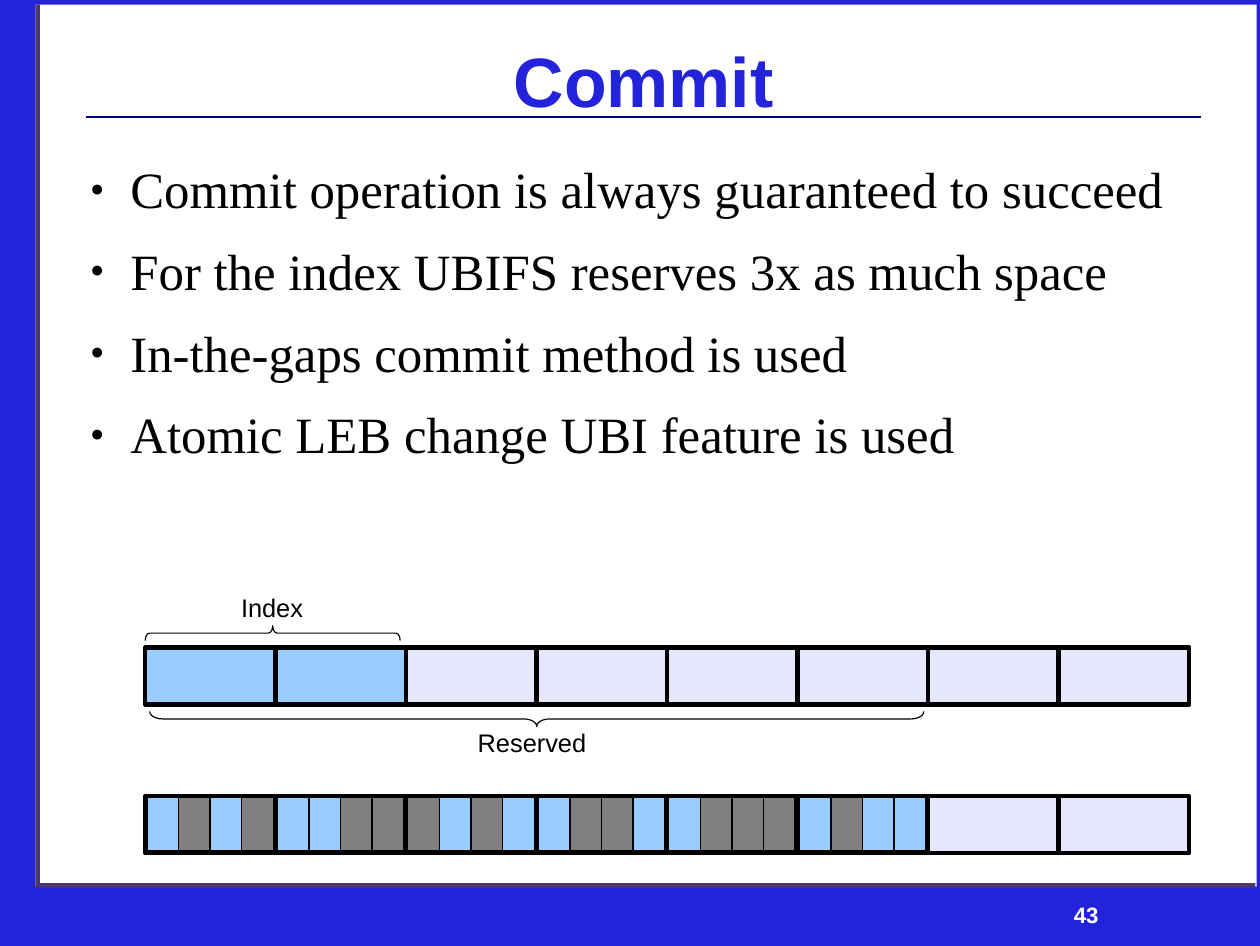
from lxml import etree
from pptx import Presentation
from pptx import util as u
from pptx.dml.color import RGBColor
from pptx.enum import shapes, text
from pptx.oxml import ns

PX = 9144  # EMU per px, 100 px to the inch

BLUE = RGBColor(0x23, 0x23, 0xDC)
PURPLE = RGBColor(0x4E, 0x37, 0x6B)
NAVY = RGBColor(0x00, 0x00, 0x80)
LAVENDER = RGBColor(0xE6, 0xE6, 0xFF)
SKY = RGBColor(0x99, 0xCC, 0xFF)
GRAY = RGBColor(0x80, 0x80, 0x80)
BLACK = RGBColor(0x00, 0x00, 0x00)
WHITE = RGBColor(0xFF, 0xFF, 0xFF)

TITLE_FONT = {"name": "Arial", "size": u.Pt(44), "bold": True}
BODY_FONT = {"name": "Times New Roman", "size": u.Pt(32)}
LABEL_FONT = {"name": "Arial", "size": u.Pt(16)}
NUMBER_FONT = {"name": "Arial", "size": u.Pt(14), "bold": True}

BULLETS = [
    "Commit operation is always guaranteed to succeed",
    "For the index UBIFS reserves 3x as much space",
    "In-the-gaps commit method is used",
    "Atomic LEB change UBI feature is used",
]
BLOCK_COUNT = 8
INDEX_BLOCKS = 2
# One word per reserved block: U is a used node, G is a gap
NODES = ["UGUG", "UUGG", "GUGU", "UGGU", "UGGG", "UGUU"]
NODE_FILLS = {"U": SKY, "G": GRAY}


def emu(*lengths):
    return [round(length * PX) for length in lengths]


def set_all(target, values):
    for name, value in values.items():
        setattr(target, name, value)


def format_para(para, font, color, align):
    set_all(para.font, font)
    para.font.color.rgb = color
    para.alignment = align


def format_frame(frame, anchor, wrap=True, margins=(0, 0)):
    side, end = emu(*margins)
    set_all(frame, {
        "margin_left": side, "margin_right": side,
        "margin_top": end, "margin_bottom": end,
        "vertical_anchor": anchor, "word_wrap": wrap,
        "auto_size": text.MSO_AUTO_SIZE.NONE,
    })


def move(shape, box):
    set_all(shape, dict(zip(("left", "top", "width", "height"), emu(*box))))


def add_rect(page, box, fill, line_width=None):
    rect = page.shapes.add_shape(shapes.MSO_SHAPE.RECTANGLE, *emu(*box))
    rect.shadow.inherit = False
    rect.fill.solid()
    rect.fill.fore_color.rgb = fill
    if line_width is None:
        rect.line.fill.background()
    else:
        rect.line.color.rgb = BLACK
        rect.line.width = u.Pt(line_width)


def add_label(page, box, words, font, color, align, **frame_format):
    label = page.shapes.add_textbox(*emu(*box))
    format_frame(label.text_frame, **frame_format)
    para = label.text_frame.paragraphs[0]
    para.text = words
    format_para(para, font, color, align)


def add_brace(page, box, rotation):
    """Brace lying along the box, its tip up (90) or down (270)."""
    left, top, length, depth = box
    upright = (left + (length - depth) / 2, top + (depth - length) / 2, depth, length)
    brace = page.shapes.add_shape(shapes.MSO_SHAPE.LEFT_BRACE, *emu(*upright))
    brace.shadow.inherit = False
    brace.rotation = rotation
    brace.adjustments[0] = length / depth / 60
    brace.fill.background()
    brace.line.color.rgb = BLACK
    brace.line.width = 0


def add_bullet(para):
    props = para._p.get_or_add_pPr()
    indent, hanging = emu(47, -35)
    props.set("marL", str(indent))
    props.set("indent", str(hanging))
    color = etree.SubElement(props, ns.qn("a:buClr"))
    etree.SubElement(color, ns.qn("a:srgbClr"), val=str(BLACK))
    etree.SubElement(props, ns.qn("a:buSzPct"), val="45000")
    etree.SubElement(props, ns.qn("a:buFont"), typeface="Times New Roman")
    etree.SubElement(props, ns.qn("a:buChar"), char="●")


def draw_frame(page, box):
    left, top, width, height = box
    # Blue border
    for band in [(left, top + 775, width, 52), (left, top, 31, height),
                 (left + width - 3, top, 3, height), (left, top, width, 4)]:
        add_rect(page, band, BLUE)
    # Purple inner edges
    for edge in [(left + 31, top + 772, 1067, 4), (left + 31, top + 4, 4, 768)]:
        add_rect(page, edge, PURPLE)
    # Rule under the title
    rule = page.shapes.add_connector(
        shapes.MSO_CONNECTOR.STRAIGHT, *emu(left + 75, top + 102, left + 1050, top + 102))
    rule.line.color.rgb = NAVY
    rule.line.width = u.Pt(1.42)
    etree.SubElement(rule._element.spPr, ns.qn("a:effectLst"))
    # Page number
    add_label(page, (left + 825, top + 775, 250, 36), "43", NUMBER_FONT, WHITE,
              text.PP_ALIGN.CENTER, anchor=text.MSO_ANCHOR.BOTTOM)


def fill_title(page, box):
    title = page.shapes.title
    move(title, box)
    format_frame(title.text_frame, text.MSO_ANCHOR.MIDDLE)
    title.text_frame.text = "Commit"
    format_para(title.text_frame.paragraphs[0], TITLE_FONT, BLUE, text.PP_ALIGN.CENTER)


def fill_body(page, box):
    body = page.placeholders[1]
    move(body, box)
    frame = body.text_frame
    format_frame(frame, text.MSO_ANCHOR.TOP)
    frame.text = "\n".join(BULLETS)
    for para in frame.paragraphs:
        add_bullet(para)
        format_para(para, BODY_FONT, BLACK, text.PP_ALIGN.LEFT)
        para.space_before = u.Pt(0)
        para.space_after = u.Pt(13)


def draw_blocks(page, box, fills):
    """Row of equal erase blocks; returns the left edge of each."""
    left, top, width, height = box
    pitch = width / len(fills)
    edges = [left + pitch * i for i in range(len(fills))]
    for edge, fill in zip(edges, fills):
        add_rect(page, (edge, top, pitch, height), fill, 2.83)
    return edges


def draw_reserved_row(page, box):
    left, top, width, height = box
    fills = [SKY] * INDEX_BLOCKS + [LAVENDER] * (BLOCK_COUNT - INDEX_BLOCKS)
    draw_blocks(page, box, fills)
    label_format = {"anchor": text.MSO_ANCHOR.TOP, "wrap": False, "margins": (10, 5)}
    for brace, rotation, label, words in [
        ((left, top - 19, 223, 13), 90, (left + 74, top - 53, 74, 35), "Index"),
        ((left + 4, top + height + 6, 677, 13), 270,
         (left + 281, top + height + 15, 115, 35), "Reserved"),
    ]:
        add_brace(page, brace, rotation)
        add_label(page, label, words, LABEL_FONT, BLACK, text.PP_ALIGN.LEFT, **label_format)


def draw_gaps_row(page, box):
    top = box[1]
    edges = draw_blocks(page, box, [LAVENDER] * BLOCK_COUNT)
    for edge, nodes in zip(edges, NODES):
        for i, node in enumerate(nodes):
            add_rect(page, (edge + 1.5 + 27.6 * i, top + 1, 27.6, 47), NODE_FILLS[node], 0)


def main():
    deck = Presentation()
    deck.slide_width, deck.slide_height = emu(1102, 827)
    page = deck.slides.add_slide(deck.slide_layouts[1])
    draw_frame(page, (0, 0, 1102, 827))
    fill_title(page, (67, 6, 992, 128))
    fill_body(page, (67, 138, 992, 270))
    draw_reserved_row(page, (127, 566, 913, 50))
    draw_gaps_row(page, (127, 696, 913, 50))
    deck.save("out.pptx")


if __name__ == "__main__":
    main()
